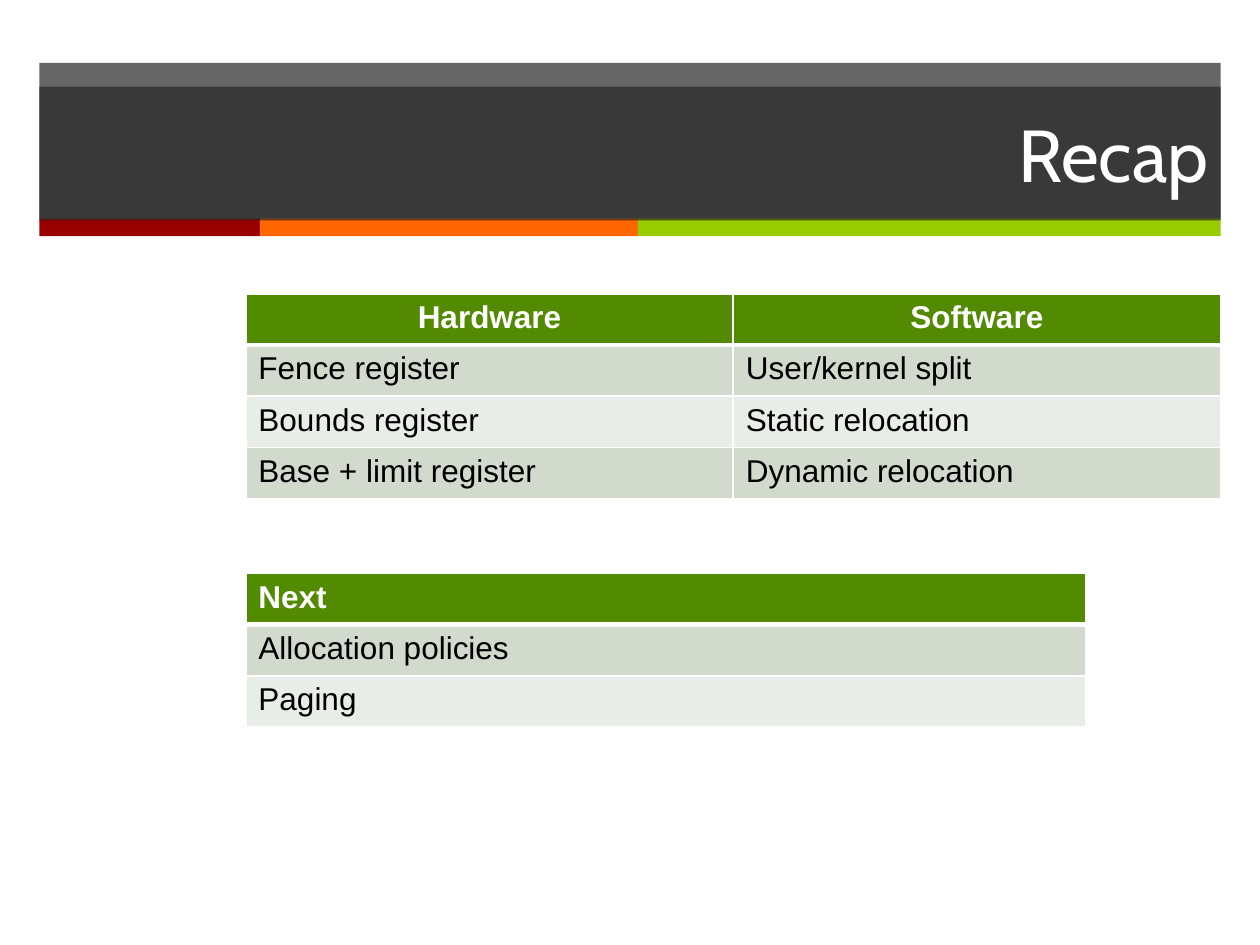
from dataclasses import dataclass

from lxml.etree import SubElement
from pptx import Presentation
from pptx.dml.color import RGBColor
from pptx.enum.shapes import MSO_SHAPE
from pptx.enum.text import MSO_ANCHOR, PP_ALIGN
from pptx.oxml.ns import qn
from pptx.util import Pt


@dataclass(frozen=True)
class Theme:
    panel: str = "262626"
    panel_opacity: int = 70
    red: str = "990000"
    orange: str = "FF6600"
    lime: str = "99CC00"
    header: str = "528A02"
    bands: tuple[str, str] = ("D1DACC", "E9EDE7")
    light: str = "FFFFFF"
    dark: str = "000000"
    title_font: str = "Cabin"
    body_font: str = "Arial"
    title_size: float = 42
    body_size: float = 18
    rule: float = 1
    header_rule: float = 3


@dataclass(frozen=True)
class Bar:
    left: float
    top: float
    width: float
    height: float
    color: str
    opacity: int = 100


@dataclass(frozen=True)
class Grid:
    top: float
    col_width: float
    header_align: PP_ALIGN
    rows: tuple[tuple[str, ...], ...]


THEME = Theme()
LEFT, WIDTH = 22.5, 675
TABLE_LEFT, ROW_HEIGHT = 140.5, 29.2
STRIPE_TOP, STRIPE_HEIGHT = 124.8, 10.2

PANEL = Bar(LEFT, 36, WIDTH, 89, THEME.panel, THEME.panel_opacity)
TITLE = Bar(LEFT, 49.5, WIDTH, 76.5, THEME.panel, THEME.panel_opacity)
STRIPES = ((126, THEME.red), (216, THEME.orange), (333, THEME.lime))
GRIDS = (
    Grid(168, 278.5, PP_ALIGN.CENTER, (
        ("Hardware", "Software"),
        ("Fence register", "User/kernel split"),
        ("Bounds register", "Static relocation"),
        ("Base + limit register", "Dynamic relocation"),
    )),
    Grid(327.8, 480, PP_ALIGN.LEFT, (
        ("Next",),
        ("Allocation policies",),
        ("Paging",),
    )),
)


def rgb(color: str) -> RGBColor:
    return RGBColor.from_string(color)


def set_font(p, name: str, size: float, color: str, bold: bool = False) -> None:
    p.font.name = name
    p.font.size = Pt(size)
    p.font.bold = bold
    p.font.color.rgb = rgb(color)


def add_bar(s, bar: Bar):
    sp = s.shapes.add_shape(MSO_SHAPE.RECTANGLE, Pt(bar.left), Pt(bar.top),
                            Pt(bar.width), Pt(bar.height))
    sp.shadow.inherit = False
    sp.line.fill.background()
    sp.fill.solid()
    sp.fill.fore_color.rgb = rgb(bar.color)
    if bar.opacity < 100:
        clr = sp.fill._xPr.find(".//" + qn("a:srgbClr"))
        SubElement(clr, qn("a:alpha"), val=str(bar.opacity * 1000))
    return sp


def add_title(s, text: str) -> None:
    tf = add_bar(s, TITLE).text_frame
    tf.word_wrap = True
    tf.vertical_anchor = MSO_ANCHOR.MIDDLE
    p = tf.paragraphs[0]
    p.text = text
    p.alignment = PP_ALIGN.RIGHT
    set_font(p, THEME.title_font, THEME.title_size, THEME.light)


def add_borders(cell, row: int) -> None:
    """Rule all four sides, with a heavier line between header and body."""
    top = THEME.header_rule if row == 1 else THEME.rule
    bottom = THEME.header_rule if row == 0 else THEME.rule
    tcPr = cell._tc.get_or_add_tcPr()
    sides = {"lnL": THEME.rule, "lnR": THEME.rule, "lnT": top, "lnB": bottom}
    for tag, width in sides.items():
        ln = SubElement(tcPr, qn(f"a:{tag}"), w=str(Pt(width)))
        fill = SubElement(ln, qn("a:solidFill"))
        SubElement(fill, qn("a:srgbClr"), val=THEME.light)


def add_grid(s, grid: Grid) -> None:
    n_rows, n_cols = len(grid.rows), len(grid.rows[0])
    table = s.shapes.add_table(n_rows, n_cols, Pt(TABLE_LEFT), Pt(grid.top),
                               Pt(grid.col_width * n_cols),
                               Pt(ROW_HEIGHT * n_rows)).table
    for i, texts in enumerate(grid.rows):
        is_header = i == 0
        for j, text in enumerate(texts):
            cell = table.cell(i, j)
            add_borders(cell, i)  # borders must precede the fill in the XML
            cell.fill.solid()
            cell.fill.fore_color.rgb = rgb(
                THEME.header if is_header else THEME.bands[(i - 1) % 2])
            p = cell.text_frame.paragraphs[0]
            p.text = text
            p.alignment = grid.header_align if is_header else PP_ALIGN.LEFT
            set_font(p, THEME.body_font, THEME.body_size,
                     THEME.light if is_header else THEME.dark, is_header)


def main() -> None:
    prs = Presentation()
    prs.slide_width, prs.slide_height = Pt(720), Pt(540)
    s = prs.slides.add_slide(prs.slide_layouts[6])
    add_bar(s, PANEL)
    left = LEFT
    for width, color in STRIPES:
        add_bar(s, Bar(left, STRIPE_TOP, width, STRIPE_HEIGHT, color))
        left += width
    add_title(s, "Recap")
    for grid in GRIDS:
        add_grid(s, grid)
    prs.save("out.pptx")


if __name__ == "__main__":
    main()
